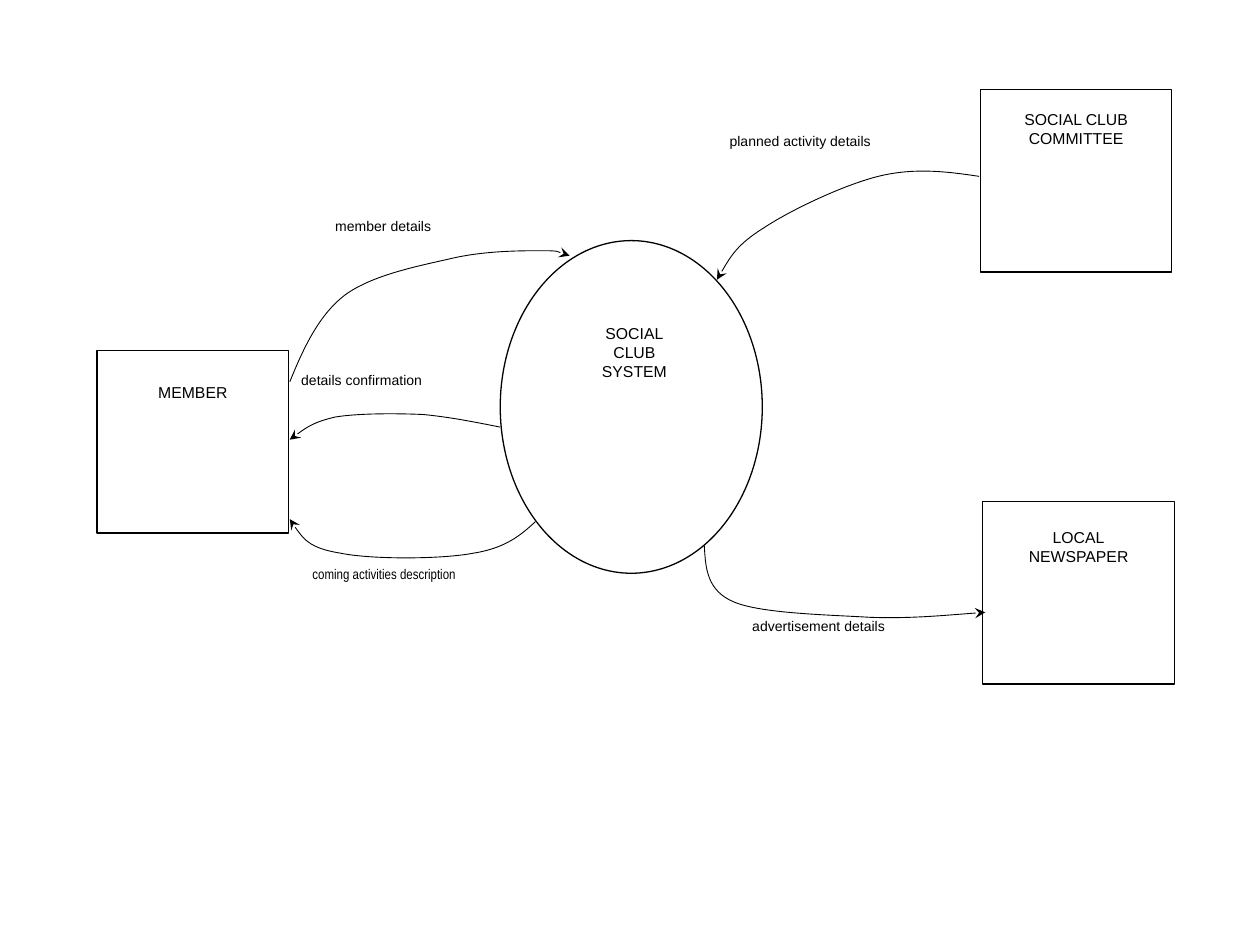
import pptx
import pptx.util
import pptx.dml.color
import pptx.enum.shapes
import pptx.enum.text
import pptx.oxml
import pptx.oxml.ns

Inches, Pt = pptx.util.Inches, pptx.util.Pt
SHAPES = pptx.enum.shapes.MSO_SHAPE
ALIGN = pptx.enum.text.PP_ALIGN
BLACK = pptx.dml.color.RGBColor(0, 0, 0)
WHITE = pptx.dml.color.RGBColor(255, 255, 255)

ENTITY_SIZE = (1.52, 1.45)
# left, top, gap above the text, lines
ENTITIES = [
    (0.77, 2.78, 0.26, ["MEMBER"]),
    (7.78, 0.71, 0.16, ["SOCIAL CLUB COMMITTEE"]),
    (7.80, 3.98, 0.21, ["LOCAL", "NEWSPAPER"]),
]
SYSTEM_OVAL = (3.97, 1.91, 2.08, 2.64)
SYSTEM_CAPTION = (4.25, 2.52, 1.57, 1.35)
SYSTEM_LINES = ["SOCIAL", "CLUB", "SYSTEM"]

# label, font, label box, curve: start, then two controls and an end per segment
FLOWS = [
    ("member details", "Arial", (2.66, 1.73, 1.49, 0.33),
     [(2.3, 3.03), (2.41, 2.76), (2.53, 2.5), (2.74, 2.34),
      (2.96, 2.18), (3.33, 2.11), (3.59, 2.05),
      (3.85, 1.99), (4.14, 1.99), (4.29, 1.99),
      (4.45, 1.99), (4.49, 2.02), (4.52, 2.03)]),
    ("details confirmation", "Arial", (2.39, 2.95, 1.61, 0.33),
     [(3.97, 3.39), (3.77, 3.35), (3.57, 3.31), (3.36, 3.29),
      (3.14, 3.28), (2.84, 3.28), (2.66, 3.31),
      (2.49, 3.35), (2.39, 3.42), (2.3, 3.49)]),
    ("coming activities description", "Arial Narrow", (2.48, 4.49, 2.09, 0.65),
     [(4.25, 4.14), (4.13, 4.25), (4.01, 4.35), (3.76, 4.39),
      (3.5, 4.44), (2.94, 4.44), (2.7, 4.39),
      (2.45, 4.35), (2.37, 4.23), (2.3, 4.12)]),
    ("planned activity details", "Arial", (5.79, 1.05, 2.09, 0.41),
     [(7.77, 1.4), (7.51, 1.36), (7.25, 1.33), (6.97, 1.4),
      (6.69, 1.47), (6.27, 1.67), (6.06, 1.81),
      (5.85, 1.94), (5.77, 2.08), (5.69, 2.22)]),
    ("advertisement details", "Arial", (5.97, 4.9, 2.09, 0.41),
     [(5.59, 4.33), (5.6, 4.51), (5.61, 4.69), (5.83, 4.78),
      (6.05, 4.87), (6.58, 4.88), (6.91, 4.9),
      (7.24, 4.91), (7.53, 4.88), (7.82, 4.86)]),
]


def write(holder, lines, size, align, font="Arial", gap=0):
    """Write lines from the top of a shape, below a gap in inches."""
    frame = holder.text_frame
    settings = dict(word_wrap=True, vertical_anchor=pptx.enum.text.MSO_ANCHOR.TOP,
                    margin_left=0, margin_right=0, margin_bottom=0,
                    margin_top=Inches(gap))
    for key, value in settings.items():
        setattr(frame, key, value)
    for index, line in enumerate(lines):
        paragraph = frame.paragraphs[0] if index == 0 else frame.add_paragraph()
        paragraph.alignment = align
        run = paragraph.add_run()
        run.text = line
        for key, value in dict(name=font, size=Pt(size)).items():
            setattr(run.font, key, value)
        run.font.color.rgb = BLACK


def outline(shape, width):
    """Give a shape a black line and no shadow."""
    shape.shadow.inherit = False
    shape.line.color.rgb = BLACK
    shape.line.width = Pt(width)


def add_node(slide, kind, box):
    """Add a white outlined node."""
    node = slide.shapes.add_shape(kind, *map(Inches, box))
    node.fill.solid()
    node.fill.fore_color.rgb = WHITE
    outline(node, 0.75)
    return node


def add_text(slide, box, *content, **options):
    """Add a text box at the given box."""
    write(slide.shapes.add_textbox(*map(Inches, box)), *content, **options)


def add_curve(slide, points):
    """Draw a Bezier curve that ends in a stealth arrowhead."""
    start, *rest = [(Inches(x), Inches(y)) for x, y in points]
    builder = slide.shapes.build_freeform(*start)
    builder.add_line_segments(rest, close=False)
    curve = builder.convert_to_shape()
    curve.fill.background()
    outline(curve, 0.5)
    qn = pptx.oxml.ns.qn
    segments = list(curve._element.iter(qn("a:lnTo")))
    for first in range(0, len(segments), 3):
        trio = segments[first:first + 3]
        bezier = trio[0].makeelement(qn("a:cubicBezTo"), {})
        trio[0].addprevious(bezier)
        for segment in trio:
            bezier.append(segment[0])
            segment.getparent().remove(segment)
    line = curve.line._get_or_add_ln()
    line.append(line.makeelement(qn("a:tailEnd"), {"type": "stealth"}))


def main():
    """Build the context diagram."""
    deck = pptx.Presentation()
    deck.slide_width, deck.slide_height = Inches(10), Inches(7.5)
    slide = deck.slides.add_slide(deck.slide_layouts[6])
    add_node(slide, SHAPES.OVAL, SYSTEM_OVAL)
    add_text(slide, SYSTEM_CAPTION, SYSTEM_LINES, 9, ALIGN.CENTER, gap=0.05)
    for left, top, gap, lines in ENTITIES:
        entity = add_node(slide, SHAPES.RECTANGLE, (left, top, *ENTITY_SIZE))
        write(entity, lines, 9, ALIGN.CENTER, gap=gap)
    for label, font, box, points in FLOWS:
        add_curve(slide, points)
        add_text(slide, box, [label], 8, ALIGN.LEFT, font=font)
    deck.save("out.pptx")


main()
